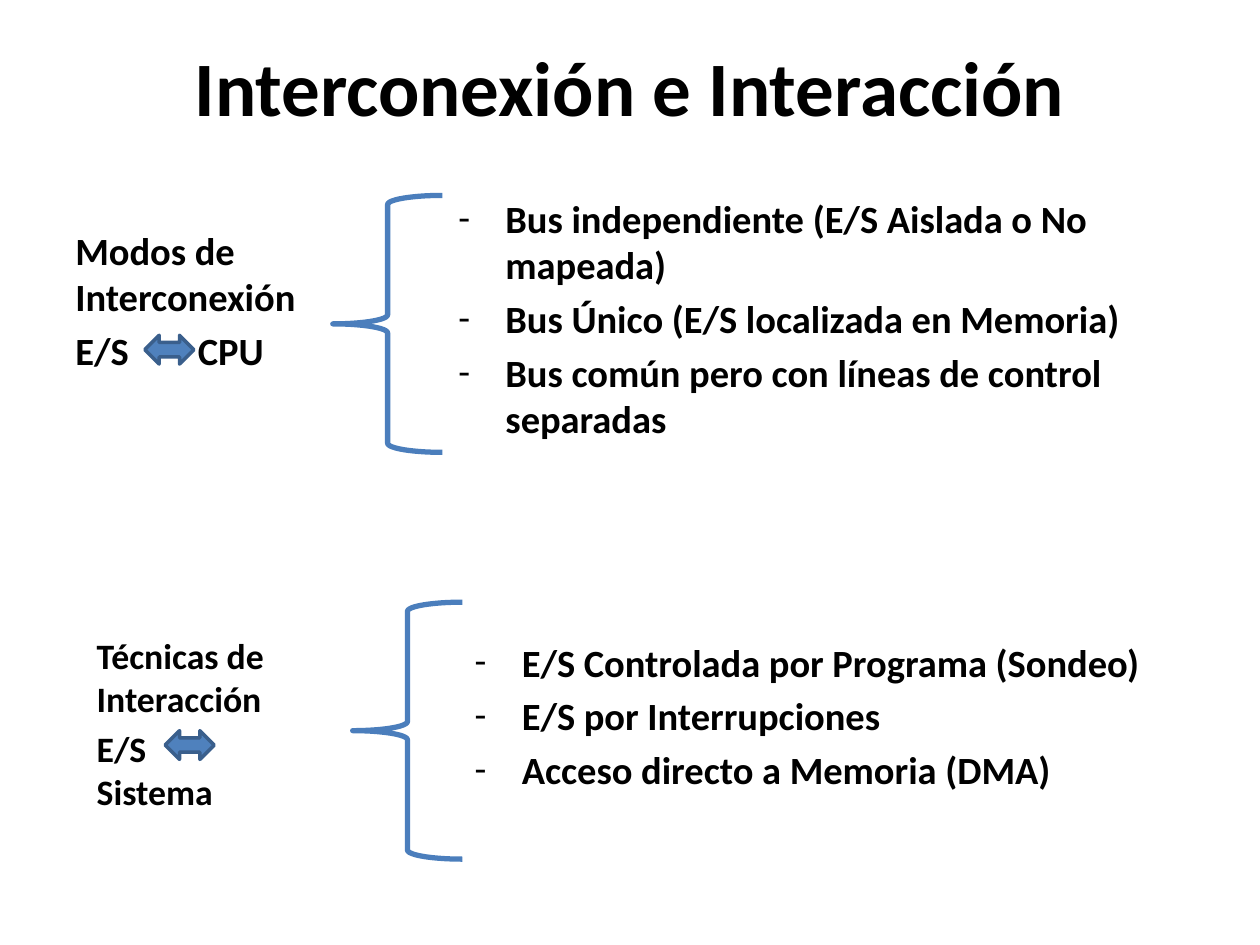
from dataclasses import dataclass

from lxml.etree import SubElement
from pptx import Presentation
from pptx.dml.color import RGBColor
from pptx.enum.shapes import MSO_SHAPE as Preset
from pptx.enum.text import MSO_ANCHOR as Anchor, PP_ALIGN as Align
from pptx.oxml.ns import qn
from pptx.shapes.autoshape import Shape
from pptx.slide import Slide
from pptx.text.text import TextFrame
from pptx.util import Cm, Pt


@dataclass(frozen=True)
class Theme:
    """Colours, font and type sizes of the slide."""
    font: str = "Calibri"
    ink: RGBColor = RGBColor(0x00, 0x00, 0x00)
    arrow_fill: RGBColor = RGBColor(0x4F, 0x81, 0xBD)
    arrow_line: RGBColor = RGBColor(0x3A, 0x5F, 0x8C)
    brace_line: RGBColor = RGBColor(0x4B, 0x7E, 0xBC)
    title_size: float = 44
    item_size: float = 22
    paragraph_gap: float = 0.2


@dataclass(frozen=True)
class Box:
    """A rectangle in centimetres."""
    left: float
    top: float
    width: float
    height: float

    def lengths(self) -> tuple[Cm, Cm, Cm, Cm]:
        """Return left, top, width and height as lengths."""
        return Cm(self.left), Cm(self.top), Cm(self.width), Cm(self.height)


@dataclass(frozen=True)
class Topic:
    """A heading, its brace and the options it opens to."""
    heading: tuple[str, ...]
    heading_size: float
    heading_box: Box
    arrow_box: Box
    brace_box: Box
    options: tuple[str, ...]
    options_box: Box


THEME = Theme()
HANGING = Cm(0.95)
HEADING_TAB = Cm(2.47)
TITLE = "Interconexión e Interacción"
TITLE_BOX = Box(1.27, 0.13, 22.86, 3.18)
TOPICS = (
    Topic(
        ("Modos de Interconexión", "E/S\tCPU"), 22,
        Box(1.27, 4.45, 5.44, 3.48),
        Box(2.92, 6.76, 0.99, 0.58),
        Box(6.71, 3.94, 2.21, 5.18),
        ("Bus independiente (E/S Aislada o No mapeada)",
         "Bus Único (E/S localizada en Memoria)",
         "Bus común pero con líneas de control separadas"),
        Box(8.99, 3.81, 14.5, 5.33),
    ),
    Topic(
        ("Técnicas de Interacción", "E/S\vSistema"), 20.4,
        Box(1.7, 12.65, 5.44, 3.48),
        Box(3.33, 14.73, 0.99, 0.58),
        Box(7.11, 12.14, 2.21, 5.18),
        ("E/S Controlada por Programa (Sondeo)",
         "E/S por Interrupciones",
         "Acceso directo a Memoria (DMA)"),
        Box(9.32, 12.75, 14.5, 5.33),
    ),
)


def format_runs(frame: TextFrame, size: float) -> None:
    """Give every run the bold text style in the given size."""
    for paragraph in frame.paragraphs:
        for run in paragraph.runs:
            run.font.name = THEME.font
            run.font.size = Pt(size)
            run.font.bold = True
            run.font.color.rgb = THEME.ink


def add_title(slide: Slide) -> None:
    """Fill and place the title."""
    title = slide.shapes.title
    title.left, title.top, title.width, title.height = TITLE_BOX.lengths()
    title.text_frame.text = TITLE
    title.text_frame.vertical_anchor = Anchor.MIDDLE
    title.text_frame.paragraphs[0].alignment = Align.CENTER
    format_runs(title.text_frame, THEME.title_size)


def add_text(slide: Slide, box: Box, lines: tuple[str, ...], size: float,
             dashed: bool) -> None:
    """Add a text box with one paragraph per line, with dashes if asked."""
    frame = slide.shapes.add_textbox(*box.lengths()).text_frame
    frame.word_wrap = True
    for index, line in enumerate(lines):
        paragraph = frame.add_paragraph() if index else frame.paragraphs[0]
        paragraph.text = line
        properties = paragraph._p.get_or_add_pPr()
        if dashed:
            properties.set("marL", str(HANGING))
            properties.set("indent", str(-HANGING))
            SubElement(properties, qn("a:buFont"), typeface=THEME.font)
            SubElement(properties, qn("a:buChar"), char="-")
        elif "\t" in line:
            tabs = SubElement(properties, qn("a:tabLst"))
            SubElement(tabs, qn("a:tab"), pos=str(HEADING_TAB), algn="l")
        if index:
            paragraph.space_before = Pt(size * THEME.paragraph_gap)
    format_runs(frame, size)


def add_outlined(slide: Slide, preset: Preset, box: Box, color: RGBColor,
                 weight: float) -> Shape:
    """Add an unfilled preset shape with the given outline."""
    shape = slide.shapes.add_shape(preset, *box.lengths())
    shape.shadow.inherit = False
    shape.fill.background()
    shape.line.color.rgb = color
    shape.line.width = Pt(weight)
    return shape


def add_topic(slide: Slide, topic: Topic) -> None:
    """Draw a heading with its arrow, brace and options."""
    add_text(slide, topic.heading_box, topic.heading, topic.heading_size, False)
    arrow = add_outlined(slide, Preset.LEFT_RIGHT_ARROW, topic.arrow_box,
                         THEME.arrow_line, 2)
    arrow.fill.solid()
    arrow.fill.fore_color.rgb = THEME.arrow_fill
    add_outlined(slide, Preset.LEFT_BRACE, topic.brace_box, THEME.brace_line, 3)
    add_text(slide, topic.options_box, topic.options, THEME.item_size, True)


def main() -> None:
    """Build and save the slide."""
    deck = Presentation()
    deck.slide_width, deck.slide_height = Cm(25.4), Cm(19.05)
    slide = deck.slides.add_slide(deck.slide_layouts.get_by_name("Title Only"))
    add_title(slide)
    for topic in TOPICS:
        add_topic(slide, topic)
    deck.save("out.pptx")


if __name__ == "__main__":
    main()
